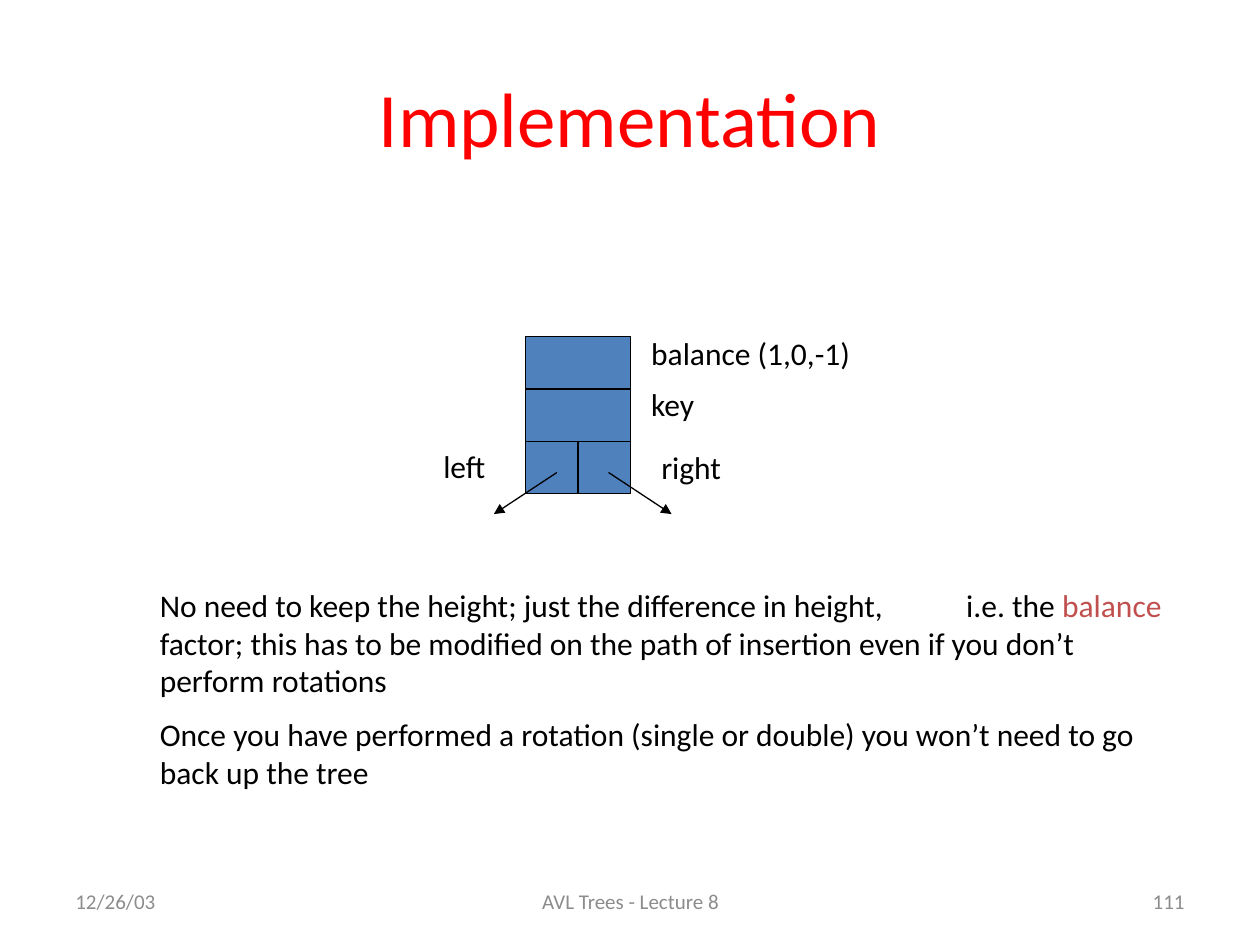
from lxml import etree
from pptx import Presentation
from pptx.dml.color import RGBColor
from pptx.enum.shapes import MSO_CONNECTOR, MSO_SHAPE
from pptx.enum.text import MSO_ANCHOR, PP_ALIGN
from pptx.oxml.ns import qn
from pptx.util import Inches, Pt

RECT = MSO_SHAPE.RECTANGLE
LINE = MSO_CONNECTOR.STRAIGHT
TOP, MID = MSO_ANCHOR.TOP, MSO_ANCHOR.MIDDLE
LEFT, CENTER, RIGHT = PP_ALIGN.LEFT, PP_ALIGN.CENTER, PP_ALIGN.RIGHT
BLACK = RGBColor(0x00, 0x00, 0x00)
RED = RGBColor(0xFF, 0x00, 0x00)
BRICK = RGBColor(0xC0, 0x50, 0x4D)
BLUE = RGBColor(0x4F, 0x81, 0xBD)
GRAY = RGBColor(0x8C, 0x8C, 0x8C)


def write(para, text, size=18, color=BLACK, align=LEFT, font="Calibri"):
    """Add a formatted run to a paragraph."""
    para.alignment = align
    run = para.add_run()
    run.text = text
    run.font.name, run.font.size = font, Pt(size)
    run.font.color.rgb = color


class Painter:
    """Draw elements on one slide in a shared style."""

    def __init__(self, slide, width=0.75):
        self.slide = slide
        self.shapes = slide.shapes
        self.width = Pt(width)

    def title(self, text, *box):
        """Fill and place the title placeholder."""
        title = self.shapes.title
        title.left, title.top, title.width, title.height = map(Inches, box)
        frame = title.text_frame
        frame.vertical_anchor = MID
        write(frame.paragraphs[0], text, size=44, color=RED, align=CENTER)

    def frame(self, *box, anchor=TOP):
        """Add a wrapping text box and return its frame."""
        frame = self.shapes.add_textbox(*map(Inches, box)).text_frame
        frame.word_wrap = True
        frame.vertical_anchor = anchor
        return frame

    def label(self, text, *box, anchor=TOP, **style):
        """Add a one-line text box."""
        write(self.frame(*box, anchor=anchor).paragraphs[0], text, **style)

    def cell(self, *box):
        """Add one field of the tree node."""
        cell = self.shapes.add_shape(RECT, *map(Inches, box))
        cell.shadow.inherit = False
        cell.fill.solid()
        cell.fill.fore_color.rgb = BLUE
        cell.line.color.rgb = BLACK
        cell.line.width = self.width

    def arrow(self, *ends):
        """Add a straight arrow."""
        arrow = self.shapes.add_connector(LINE, *map(Inches, ends))
        arrow.line.color.rgb = BLACK
        arrow.line.width = self.width
        props = arrow.line._get_or_add_ln()
        etree.SubElement(props, qn("a:tailEnd"), type="triangle")
        etree.SubElement(arrow._element.spPr, qn("a:effectLst"))

    def notes(self, paras, *box, gap=9, tab=6.4):
        """Add paragraphs of (text, color) runs with one tab stop."""
        frame = self.frame(*box)
        for i, runs in enumerate(paras):
            para = frame.add_paragraph() if i else frame.paragraphs[0]
            if i:
                para.space_before = Pt(gap)
            stops = etree.SubElement(para._p.get_or_add_pPr(), qn("a:tabLst"))
            etree.SubElement(stops, qn("a:tab"), pos=str(Inches(tab)), algn="l")
            for text, color in runs:
                write(para, text, color=color)


def main():
    """Build and save the slide."""
    deck = Presentation()
    deck.slide_width, deck.slide_height = Inches(10), Inches(7.5)
    art = Painter(deck.slides.add_slide(deck.slide_layouts[5]))

    art.title("Implementation", 0.5, 0.3, 9, 1.25)
    for text, x, w, align in (
        ("12/26/03", 0.5, 2.33, LEFT),
        ("AVL Trees - Lecture 8", 3.42, 3.17, CENTER),
        ("111", 7.17, 2.33, RIGHT),
    ):
        art.label(text, x, 6.95, w, 0.4, anchor=MID,
                  size=12, color=GRAY, align=align)

    x, y, side = 4.17, 2.67, 5 / 12
    for col, row, span in ((0, 2, 1), (1, 2, 1), (0, 1, 2), (0, 0, 2)):
        art.cell(x + col * side, y + row * side, span * side, side)
    for start, end in ((4.42, 3.92), (4.83, 5.33)):
        art.arrow(start, 3.75, end, 4.08)

    for text, left, top, w in (
        ("balance (1,0,-1)", 5.07, 2.6, 2.14),
        ("key", 5.07, 3.01, 0.63),
        ("right", 5.15, 3.51, 0.74),
        ("left", 3.42, 3.5, 0.57),
    ):
        art.label(text, left, top, w, 0.43)

    art.notes([
        [("No need to keep the height; just the difference in height,\t"
          "i.e. the ", BLACK),
         ("balance", BRICK),
         (" factor; this has to be modified on the path of insertion "
          "even if you don’t perform rotations", BLACK)],
        [("Once you have performed a rotation (single or double) "
          "you won’t need to go back up the tree", BLACK)],
    ], 1.17, 4.6, 8.25, 1.93)

    deck.save("out.pptx")


if __name__ == "__main__":
    main()
